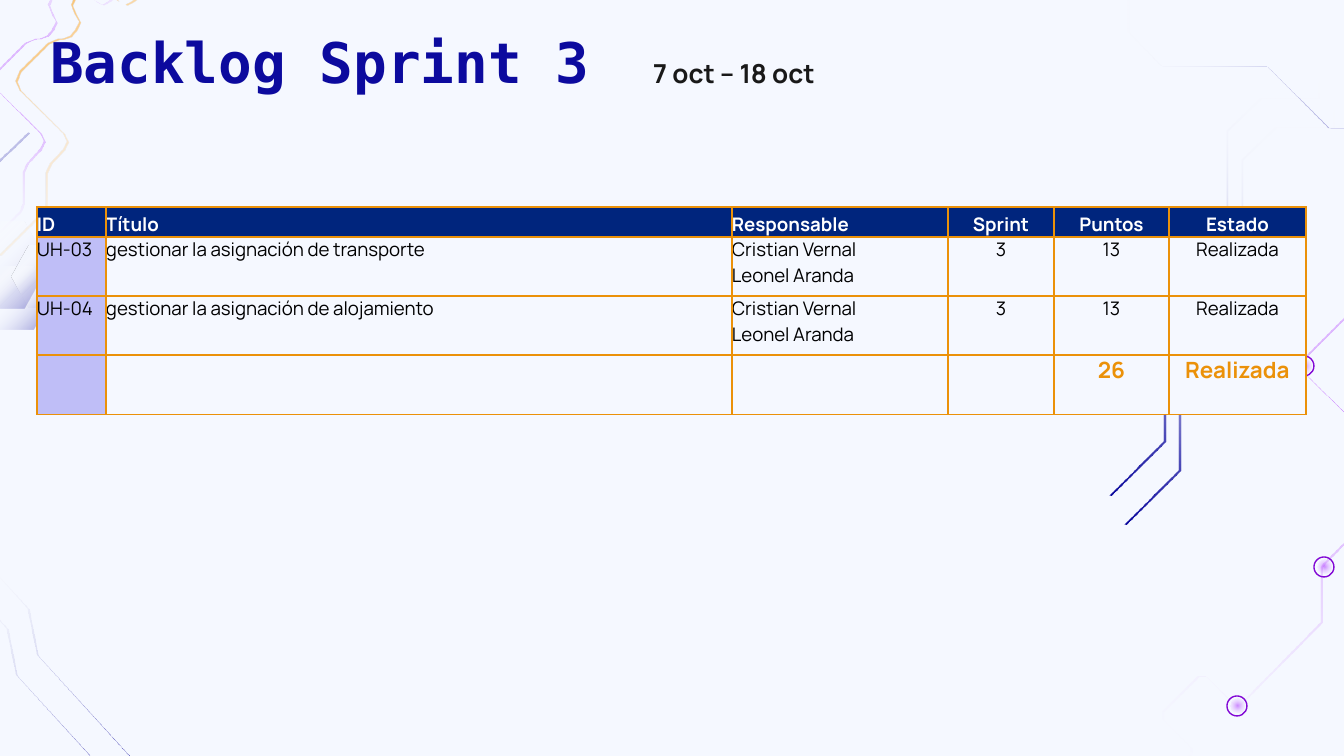
"""Build the Sprint 3 backlog slide: circuit decoration, title, dates and story table."""
import pptx
import pptx.dml.color
import pptx.enum.shapes
import pptx.enum.text
import pptx.oxml
import pptx.oxml.ns
import pptx.util

PX = 914400 / 134.4
RGB = pptx.dml.color.RGBColor
NAVY = RGB(0x0C, 0x0A, 0x9E)
HEADER = RGB(0x00, 0x25, 0x7D)
LILAC = RGB(0xBF, 0xBE, 0xF7)
PALE = RGB(0xF5, 0xF8, 0xFF)
GOLD = RGB(0xEB, 0x91, 0x09)
AMBER = RGB(0xFF, 0x99, 0x00)
PURPLE = RGB(0x99, 0x00, 0xFF)
RING = RGB(0x82, 0x08, 0xD5)
INK = RGB(0x19, 0x19, 0x19)
WHITE = RGB(0xFF, 0xFF, 0xFF)
BLACK = RGB(0, 0, 0)
LEFT, CENTER = pptx.enum.text.PP_ALIGN.LEFT, pptx.enum.text.PP_ALIGN.CENTER
TOP, BOTTOM = pptx.enum.text.MSO_ANCHOR.TOP, pptx.enum.text.MSO_ANCHOR.BOTTOM
OVAL = pptx.enum.shapes.MSO_SHAPE.OVAL
NAMESPACE = pptx.oxml.ns.nsdecls("a")

BLUE_FADE = [(0, NAVY, 100), (100, WHITE, 0)]
SOFT_BLUE_FADE = [(0, NAVY, 36), (100, WHITE, 0)]
GOLD_FADE = [(0, GOLD, 100), (40, AMBER, 40), (100, WHITE, 0)]
PURPLE_FADE = [(0, PURPLE, 45), (100, WHITE, 0)]
HEXAGON_FADE = [(0, PALE, 100), (22, PALE, 100), (45, WHITE, 0), (100, NAVY, 49)]

deck = pptx.Presentation()
deck.slide_width, deck.slide_height = round(1344 * PX), round(756 * PX)
page = deck.slides.add_slide(deck.slide_layouts[6])
page.background.fill.solid()
page.background.fill.fore_color.rgb = PALE


def paint(shape, fade, angle):
    """Fill a shape with a linear fade, or a radial one when angle is None."""
    stops = "".join(
        f'<a:gs pos="{place * 1000}"><a:srgbClr val="{color}">'
        f'<a:alpha val="{opacity * 1000}"/></a:srgbClr></a:gs>'
        for place, color, opacity in fade)
    direction = f'<a:lin ang="{(angle or 0) * 60000}" scaled="0"/>'
    if angle is None:
        direction = ('<a:path path="circle"><a:fillToRect l="50000" t="50000" '
                     'r="50000" b="50000"/></a:path>')
    shape.shadow.inherit = False
    shape.line.fill.background()
    shape.fill.solid()
    properties = shape.element.spPr
    properties.replace(properties.find(pptx.oxml.ns.qn("a:solidFill")), pptx.oxml.parse_xml(
        f'<a:gradFill {NAMESPACE} rotWithShape="1"><a:gsLst>{stops}</a:gsLst>{direction}</a:gradFill>'))


def write(frame, lines, align, size, color, bold, font="Manrope", spacing=None):
    """Put lines of text into a frame in one format."""
    for index, line in enumerate(lines):
        para = frame.paragraphs[0] if index == 0 else frame.add_paragraph()
        para.alignment, para.line_spacing = align, spacing
        span = para.add_run()
        span.text = line
        span.font.color.rgb = color
        for name, value in {"size": pptx.util.Pt(size), "name": font, "bold": bold}.items():
            setattr(span.font, name, value)


right_trace = [(1125, 524), (1179, 470), (1179, 328), (1241, 266), (1241, 160),
               (1274, 128), (1332, 128), (1332, 109)]
top_trace = [(1525, 183), (1472, 128), (1328, 128), (1266, 66), (1161, 66),
             (1128, 32), (1128, -26), (1109, -26)]
node_trace = [(1622, 40), (1541, 121), (1541, 129), (1582, 168), (1582, 175), (1441, 314),
              (1435, 314), (1395, 275), (1387, 275), (1301, 361), (1301, 370), (1406, 474),
              (1406, 480), (1324, 563), (1321, 567), (1321, 622), (1240, 704), (1234, 704),
              (1206, 676), (1198, 676), (1163, 711), (1163, 719), (1191, 747), (1191, 753),
              (1180, 763), (1180, 773), (1191, 784), (1188, 790), (1184, 784)]
bottom_trace = [(160, 840), (148, 777), (37, 655), (28, 609), (-21, 555)]
corner_trace = [(77, -84), (140, -20), (143, -13), (140, -5), (132, 1), (125, 5), (117, 1),
                (102, -12), (93, -16), (83, -12), (75, -4), (71, 5), (75, 15), (79, 22),
                (75, 30), (70, 36), (62, 39), (58, 39), (48, 43), (20, 71), (16, 81),
                (20, 90), (63, 133), (67, 141), (63, 149), (50, 163), (46, 172), (46, 203),
                (43, 211), (0, 254)]
left_trace = [(27, 132), (-13, 171), (-13, 95), (-43, 95), (-43, 26)]

outlines = []
for trace, right, down, fade, angle in [
        (right_trace, 0, 0, BLUE_FADE, 270), (right_trace, -15, -29, BLUE_FADE, 270),
        (top_trace, 0, 0, BLUE_FADE, 180), (node_trace, 0, 0, PURPLE_FADE, None),
        (bottom_trace, 0, 0, BLUE_FADE, 228), (bottom_trace, -21, 20, BLUE_FADE, 228),
        (corner_trace, 0, 0, GOLD_FADE, 45), (corner_trace, -23, 0, PURPLE_FADE, None),
        (left_trace, 0, 0, SOFT_BLUE_FADE, 225)]:
    edge = [(x + right, y + down) for x, y in trace]
    outlines.append((edge + [(x + 2, y + 1) for x, y in reversed(edge)], fade, angle))
for x, y, width, height in [(-51, 222, 99, 86), (-20, 267, 71, 62), (12, 246, 70, 62)]:
    near, far, middle = x + width // 4, x + width - width // 4, y + height // 2
    outlines.append(([(far, y + height), (x + width, middle), (far, y), (near, y),
                      (x, middle), (near, y + height)], HEXAGON_FADE, 45))
for points, fade, angle in outlines:
    builder = page.shapes.build_freeform(*points[0], scale=PX)
    builder.add_line_segments(points[1:], close=True)
    paint(builder.convert_to_shape(), fade, angle)

for x, y in [(1237, 706), (1324, 567), (1304, 366)]:
    ring, glow = [page.shapes.add_shape(OVAL, *[round(n * PX) for n in (x - r, y - r, 2 * r, 2 * r)])
                  for r in (10, 7)]
    ring.shadow.inherit = False
    ring.fill.background()
    ring.line.color.rgb, ring.line.width = RING, pptx.util.Pt(0.75)
    paint(glow, PURPLE_FADE, None)

for line, place, style in [
        ("Backlog Sprint 3", (37, 14, 1133, 84),
         {"size": 30, "color": NAVY, "font": "DejaVu Sans Mono"}),
        ("7 oct – 18 oct", (640, 39, 367, 59), {"size": 14, "color": INK, "spacing": 1.15})]:
    box = page.shapes.add_textbox(*[round(n * PX) for n in place])
    frame = box.text_frame
    frame.word_wrap = True
    for side in ("left", "top", "right", "bottom"):
        setattr(frame, f"margin_{side}", pptx.util.Inches(0.1))
    write(frame, [line], LEFT, bold=True, **style)

team = "Cristian Vernal\nLeonel Aranda"
rows = [
    ["ID", "Título", "Responsable", "Sprint", "Puntos", "Estado"],
    ["UH-03", "gestionar la asignación de transporte", team, "3", "13", "Realizada"],
    ["UH-04", "gestionar la asignación de alojamiento", team, "3", "13", "Realizada"],
    ["", "", "", "", "26", "Realizada"],
]
widths, heights = [69, 626, 216, 106, 115, 137], [30, 59, 59, 60]
styles = [(10, WHITE, True), (10, BLACK, False), (10, BLACK, False), (12, GOLD, True)]
table = page.shapes.add_table(
    len(rows), len(widths),
    *[round(n * PX) for n in (37, 207, sum(widths), sum(heights))]).table
for column, width in zip(table.columns, widths):
    column.width = round(width * PX)
for r, (values, height, style) in enumerate(zip(rows, heights, styles)):
    table.rows[r].height = round(height * PX)
    for c, value in enumerate(values):
        cell = table.cell(r, c)
        for side in ("left", "top", "right", "bottom"):
            setattr(cell, f"margin_{side}", 0)
        cell.vertical_anchor = BOTTOM if r == 0 else TOP
        write(cell.text_frame, value.split("\n"), LEFT if c < 3 else CENTER, *style)
        properties = cell._tc.get_or_add_tcPr()
        for border in ("lnL", "lnR", "lnT", "lnB"):
            properties.append(pptx.oxml.parse_xml(
                f'<a:{border} {NAMESPACE} w="9525"><a:solidFill><a:srgbClr val="{GOLD}"/>'
                f'</a:solidFill></a:{border}>'))
        cell.fill.solid()
        cell.fill.fore_color.rgb = HEADER if r == 0 else LILAC if c == 0 else PALE

deck.save("out.pptx")
